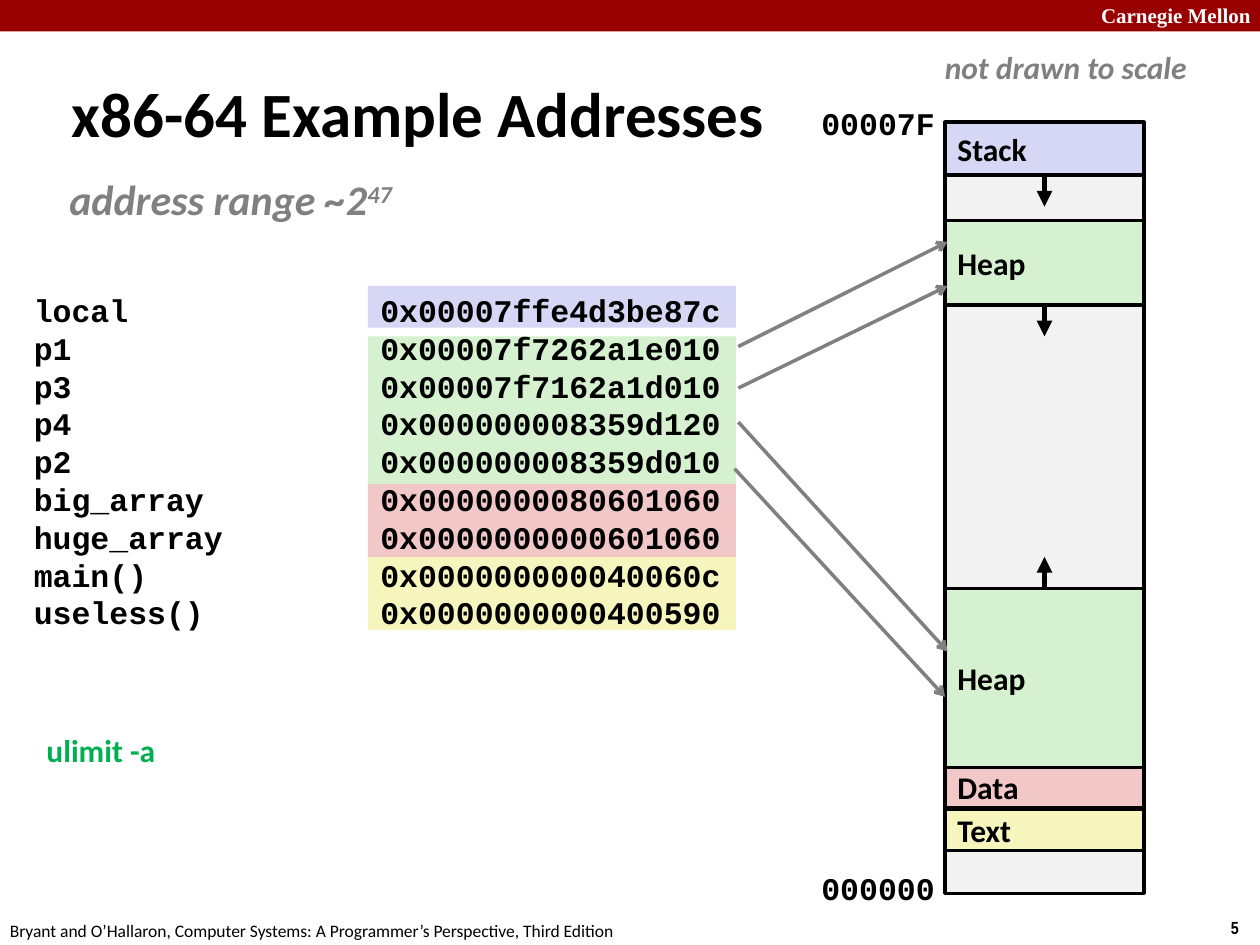
from dataclasses import dataclass
from lxml.etree import SubElement
from pptx import Presentation
from pptx.dml.color import RGBColor
from pptx.enum.shapes import MSO_CONNECTOR, MSO_SHAPE
from pptx.enum.text import MSO_ANCHOR, MSO_AUTO_SIZE, PP_ALIGN
from pptx.oxml.ns import qn
from pptx.util import Inches, Pt

BLACK = RGBColor(0x00, 0x00, 0x00)
WHITE = RGBColor(0xFF, 0xFF, 0xFF)
GRAY = RGBColor(0x80, 0x80, 0x80)
PALE_GRAY = RGBColor(0xF2, 0xF2, 0xF2)
CRIMSON = RGBColor(0x99, 0x00, 0x00)
GREEN = RGBColor(0x00, 0xB0, 0x50)
STACK_BLUE = RGBColor(0xD6, 0xD6, 0xF5)
HEAP_GREEN = RGBColor(0xD5, 0xF1, 0xCF)
DATA_RED = RGBColor(0xF1, 0xC7, 0xC7)
TEXT_YELLOW = RGBColor(0xF6, 0xF5, 0xBD)

MEMORY_LEFT, MEMORY_WIDTH = 7.5, 1.58
MEMORY_CENTER = MEMORY_LEFT + MEMORY_WIDTH / 2
BAND_LEFT, BAND_WIDTH = 2.92, 2.92


@dataclass(frozen=True)
class Style:
    size: float = 18
    font: str = "Calibri"
    color: RGBColor = BLACK
    bold: bool = True
    italic: bool = False


@dataclass(frozen=True)
class Label:
    text: str
    left: float
    top: float
    width: float
    height: float
    style: Style
    wrap: bool = False


@dataclass(frozen=True)
class Region:
    name: str
    top: float
    height: float
    color: RGBColor


@dataclass(frozen=True)
class Arrow:
    start: tuple[float, float]
    end: tuple[float, float]
    color: RGBColor = BLACK
    weight: float = 3
    head: str = "triangle"


CODE = Style(font="Courier New")
NOTE = Style(color=GRAY, italic=True)
RANGE = Style(24, color=GRAY, italic=True)

FRAME_LABELS = [
    Label("Carnegie Mellon", 8.64, -0.03, 1.43, 0.3, Style(12, "Times New Roman", WHITE)),
    Label("5", 9.67, 7.23, 0.34, 0.27, Style(10, "Arial Narrow")),
    Label("Bryant and O’Hallaron, Computer Systems: A Programmer’s Perspective, Third Edition",
          -0.02, 7.25, 5.08, 0.27, Style(10, bold=False)),
]
LABELS = [
    Label("00007F", 6.42, 0.78, 1.11, 0.4, CODE),
    Label("000000", 6.42, 6.85, 1.11, 0.4, CODE),
    Label("not drawn to scale", 7.4, 0.33, 2.13, 0.4, NOTE),
    Label("ulimit -a", 0.27, 5.75, 3.42, 0.4, Style(color=GREEN), True),
]
BANDS = [
    Region("", 4.42, 0.58, TEXT_YELLOW),
    Region("", 3.83, 0.59, DATA_RED),
    Region("", 2.27, 0.33, STACK_BLUE),
    Region("", 2.67, 1.17, HEAP_GREEN),
]
REGIONS = [
    Region("", 0.98, 6.11, PALE_GRAY),
    Region("Text", 6.42, 0.33, TEXT_YELLOW),
    Region("Data", 6.08, 0.33, DATA_RED),
    Region("Heap", 4.67, 1.42, HEAP_GREEN),
    Region("Heap", 1.75, 0.67, HEAP_GREEN),
    Region("Stack", 0.97, 0.42, STACK_BLUE),
]
GROWTH = [(1.39, 1.64), (4.67, 4.42), (2.42, 2.67)]
POINTERS = [
    ((5.86, 2.75), (7.52, 1.92)),
    ((5.86, 3.08), (7.52, 2.27)),
    ((5.86, 3.35), (7.52, 5.17)),
    ((5.83, 3.72), (7.5, 5.53)),
]
ADDRESSES = {
    "local": "0x00007ffe4d3be87c",
    "p1": "0x00007f7262a1e010",
    "p3": "0x00007f7162a1d010",
    "p4": "0x000000008359d120",
    "p2": "0x000000008359d010",
    "big_array": "0x0000000080601060",
    "huge_array": "0x0000000000601060",
    "main()": "0x000000000040060c",
    "useless()": "0x0000000000400590",
}


def apply_style(para, style: Style) -> None:
    """Set the font of a whole paragraph."""
    font = para.font
    font.name, font.size = style.font, Pt(style.size)
    font.bold, font.italic = style.bold, style.italic
    font.color.rgb = style.color


def add_label(page, label: Label):
    """Add a text box and return its text frame."""
    box = page.shapes.add_textbox(*map(Inches, (label.left, label.top, label.width, label.height)))
    frame = box.text_frame
    frame.word_wrap = label.wrap
    frame.auto_size = MSO_AUTO_SIZE.SHAPE_TO_FIT_TEXT
    para = frame.paragraphs[0]
    para.text = label.text
    apply_style(para, label.style)
    return frame


def add_block(page, left: float, width: float, region: Region, outlined: bool = False) -> None:
    """Add a filled rectangle with an optional outline and name."""
    block = page.shapes.add_shape(
        MSO_SHAPE.RECTANGLE, *map(Inches, (left, region.top, width, region.height)))
    block.shadow.inherit = False
    block.fill.solid()
    block.fill.fore_color.rgb = region.color
    if outlined:
        block.line.color.rgb = BLACK
        block.line.width = Pt(2)
    else:
        block.line.fill.background()
    if region.name:
        frame = block.text_frame
        frame.word_wrap = False
        frame.vertical_anchor = MSO_ANCHOR.MIDDLE
        para = frame.paragraphs[0]
        para.text = region.name
        para.alignment = PP_ALIGN.LEFT
        apply_style(para, Style())


def add_arrow(page, arrow: Arrow) -> None:
    """Add a straight line with an arrowhead at its end."""
    line = page.shapes.add_connector(
        MSO_CONNECTOR.STRAIGHT, *map(Inches, (*arrow.start, *arrow.end)))
    line.line.color.rgb = arrow.color
    line.line.width = Pt(arrow.weight)
    SubElement(line.line._get_or_add_ln(), qn("a:tailEnd"), type=arrow.head)
    SubElement(line._element.spPr, qn("a:effectLst"))


def add_addresses(page) -> None:
    """List each symbol with its address at a tab stop."""
    frame = add_label(page, Label("", 0.17, 2.26, 6.17, 2.82, CODE, True))
    for index, (name, address) in enumerate(ADDRESSES.items()):
        para = frame.add_paragraph() if index else frame.paragraphs[0]
        para.text = f"{name}\t{address}"
        para.line_spacing = Pt(21.6)
        tabs = SubElement(para._p.get_or_add_pPr(), qn("a:tabLst"))
        SubElement(tabs, qn("a:tab"), pos=str(Inches(2.75)), algn="l")
        apply_style(para, CODE)


def add_headings(page) -> None:
    """Add the title and the address range under it."""
    title = add_label(page, Label("x86-64 Example Addresses", 0.47, 0.58, 7.19, 0.63, Style(36), True))
    title.auto_size = MSO_AUTO_SIZE.NONE
    title.vertical_anchor = MSO_ANCHOR.MIDDLE
    subtitle = add_label(page, Label("address range ~2", 0.5, 1.33, 2.71, 0.51, RANGE))
    subtitle.margin_left = subtitle.margin_right = Inches(0.05)
    exponent = subtitle.paragraphs[0].add_run()
    exponent.text = "47"
    exponent.font._element.set("baseline", "30000")


def main() -> None:
    """Build the memory layout slide."""
    deck = Presentation()
    deck.slide_width, deck.slide_height = Inches(10), Inches(7.5)
    page = deck.slides.add_slide(deck.slide_layouts[6])
    add_block(page, 0, 10, Region("", 0, 0.25, CRIMSON))
    for label in FRAME_LABELS:
        add_label(page, label)
    for band in BANDS:
        add_block(page, BAND_LEFT, BAND_WIDTH, band)
    add_headings(page)
    add_addresses(page)
    for region in REGIONS:
        add_block(page, MEMORY_LEFT, MEMORY_WIDTH, region, outlined=True)
    for start, end in GROWTH:
        add_arrow(page, Arrow((MEMORY_CENTER, start), (MEMORY_CENTER, end)))
    for label in LABELS:
        add_label(page, label)
    for start, end in POINTERS:
        add_arrow(page, Arrow(start, end, GRAY, 2, "arrow"))
    deck.save("out.pptx")


if __name__ == "__main__":
    main()
